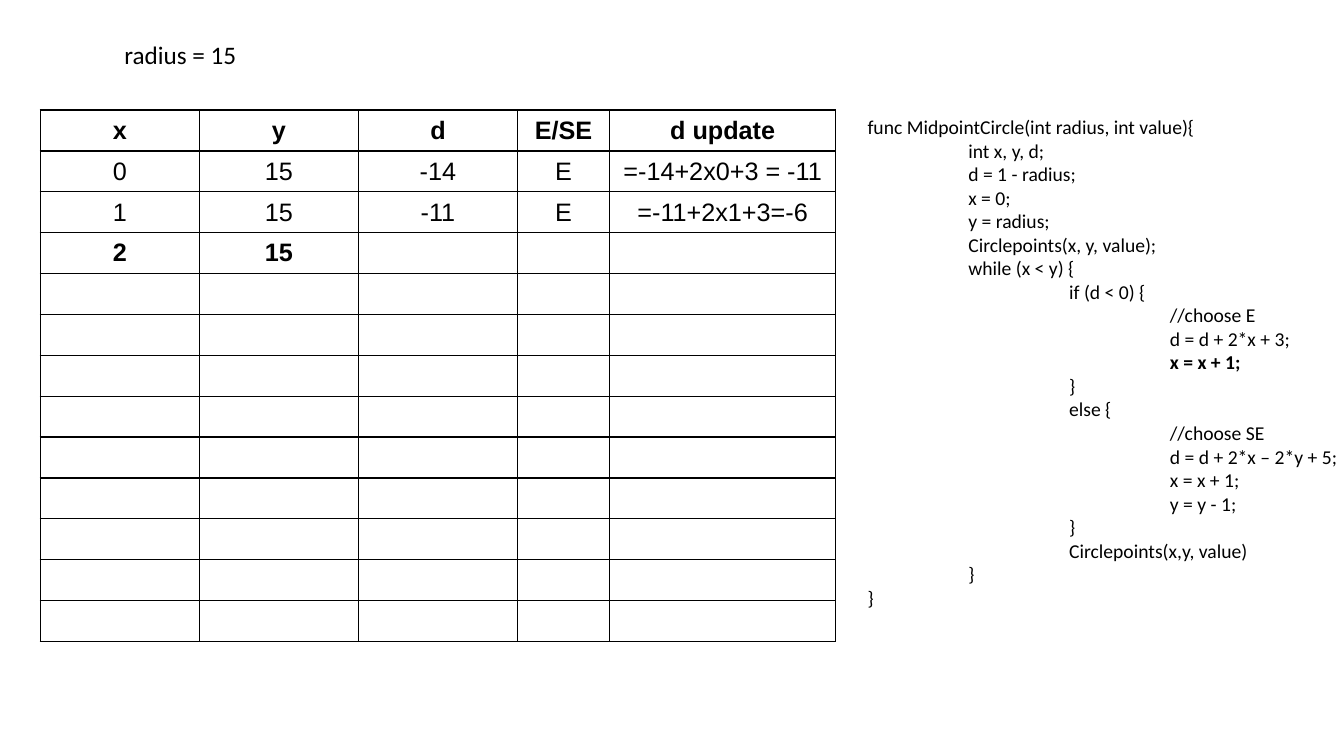
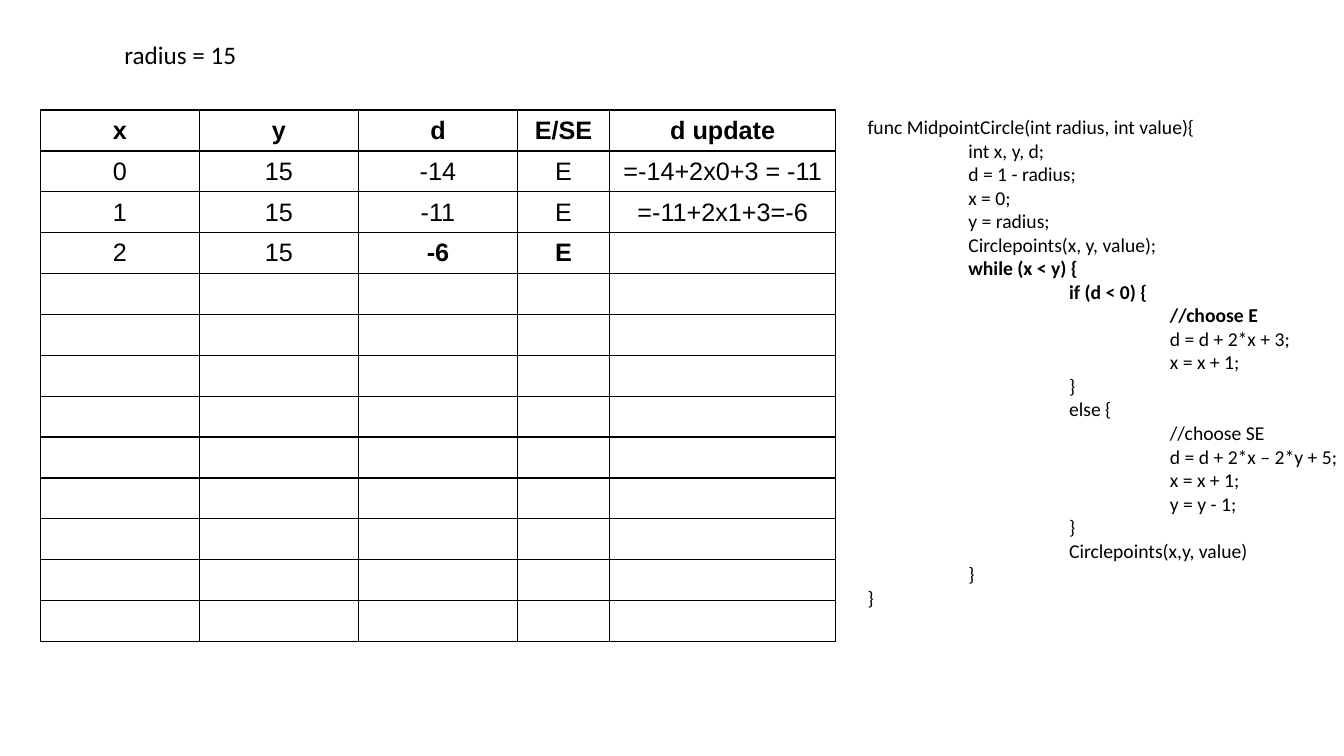
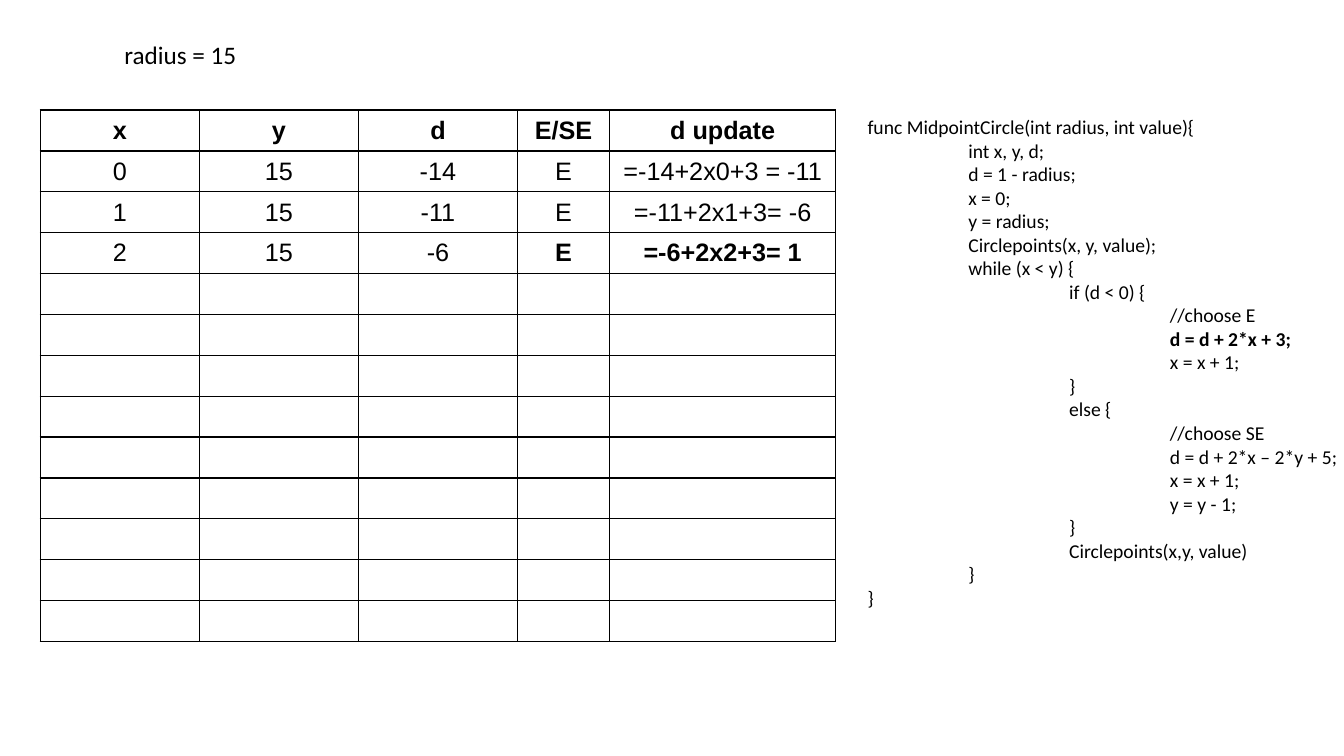
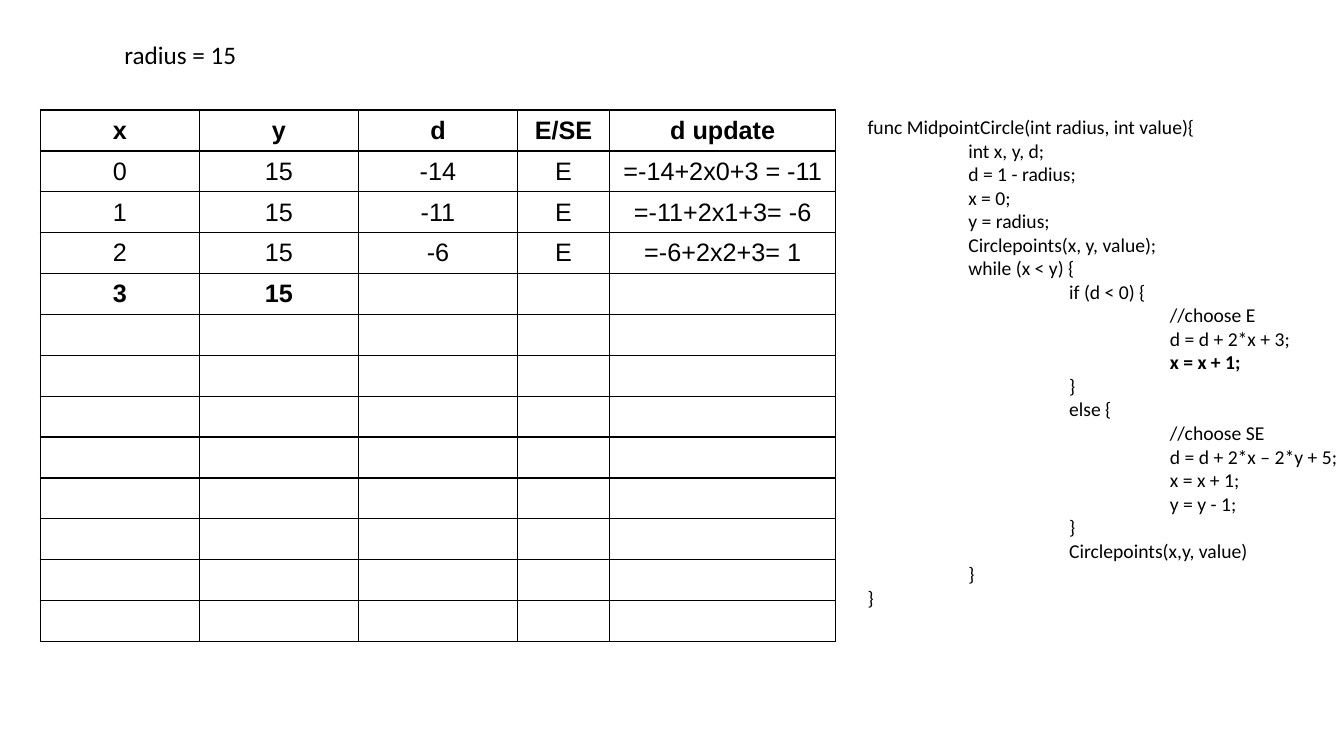
from pptx import Presentation
from pptx.dml.color import RGBColor
from pptx.enum.text import MSO_ANCHOR, MSO_AUTO_SIZE, PP_ALIGN
from pptx.oxml import parse_xml
from pptx.oxml.ns import nsdecls
from pptx.util import Inches, Pt

# Shared style; lengths are cells of a 160 by 90 grid
UNIT = Inches(1) / 12
WIDE, HIGH = 160, 90
INK = "000000"
SANS, GRID = "Calibri", "Arial"
TITLE = (13.6, 4.1, 16, 4.8)
TABLE = (4.8, 13.1, 94.7, 63.3)
CODE = (102.1, 13.1, 61.4, 63.4)
SHARES = (0.2, 0.2, 0.2, 0.116, 0.284)
ROWS = 13
HEAD = ("x", "y", "d", "E/SE", "d update")

# Each code line: indent level and text
LINES = (
    (0, "func MidpointCircle(int radius, int value){"),
    (1, "int x, y, d;"),
    (1, "d = 1 - radius;"),
    (1, "x = 0;"),
    (1, "y = radius;"),
    (1, "Circlepoints(x, y, value);"),
    (1, "while (x < y) {"),
    (2, "if (d < 0) {"),
    (3, "//choose E"),
    (3, "d = d + 2*x + 3;"),
    (3, "x = x + 1;"),
    (2, "}"),
    (2, "else {"),
    (3, "//choose SE"),
    (3, "d = d + 2*x – 2*y + 5;"),
    (3, "x = x + 1;"),
    (3, "y = y - 1;"),
    (2, "}"),
    (2, "Circlepoints(x,y, value)"),
    (1, "}"),
    (0, "}"),
)

FIRST = ("0", "15", "-14", "E", "=-14+2x0+3 = -11")
TIGHT = ("1", "15", "-11", "E", "=-11+2x1+3=-6")
LOOSE = ("1", "15", "-11", "E", "=-11+2x1+3= -6")
THIRD = ("2", "15", "-6", "E", "=-6+2x2+3= 1")

# Each step: filled rows, bold columns of the last row, bold code lines
STEPS = (
    ((FIRST, TIGHT, THIRD[:2]), (0, 1), (10,)),
    ((FIRST, TIGHT, THIRD[:4]), (2, 3), (6, 7, 8)),
    ((FIRST, LOOSE, THIRD), (3, 4), (9,)),
    ((FIRST, LOOSE, THIRD, ("3", "15")), (0, 1), (10,)),
)


def size(cells):
    return round(cells * UNIT)


def color(code):
    return RGBColor.from_string(code)


def write(para, text, points, face, bold=False):
    run = para.add_run()
    run.text = text
    font = run.font
    font.size, font.name, font.bold = Pt(points), face, bold
    font.color.rgb = color(INK)


def title(slide, box, text):
    shape = slide.shapes.title
    shape.left, shape.top, shape.width, shape.height = map(size, box)
    frame = shape.text_frame
    frame.auto_size = MSO_AUTO_SIZE.NONE
    frame.word_wrap = False
    frame.vertical_anchor = MSO_ANCHOR.TOP
    para = frame.paragraphs[0]
    para.alignment = PP_ALIGN.LEFT
    write(para, text, 18, SANS)


def border(cell):
    props = cell._tc.get_or_add_tcPr()
    for side in "LRTB":
        props.append(parse_xml(
            f'<a:ln{side} {nsdecls("a")} w="12700"><a:solidFill>'
            f'<a:srgbClr val="{INK}"/></a:solidFill></a:ln{side}>'))
    cell.fill.background()


def trace(slide, box, rows, marks):
    table = slide.shapes.add_table(ROWS, len(HEAD), *map(size, box)).table
    for col, share in zip(table.columns, SHARES):
        col.width = size(box[2] * share)
    for row in table.rows:
        row.height = size(box[3] / ROWS)
    for cell in table.iter_cells():
        border(cell)
        cell.vertical_anchor = MSO_ANCHOR.MIDDLE

    # Header and filled rows, with the newest values in bold
    for r, texts in enumerate((HEAD, *rows)):
        for c, text in enumerate(texts):
            para = table.cell(r, c).text_frame.paragraphs[0]
            para.alignment = PP_ALIGN.CENTER
            bold = r == 0 or (r == len(rows) and c in marks)
            write(para, text, 18, GRID, bold)


def code(slide, box, marks):
    frame = slide.shapes.add_textbox(*map(size, box)).text_frame
    frame.word_wrap = True
    for i, (level, text) in enumerate(LINES):
        para = frame.add_paragraph() if i else frame.paragraphs[0]
        para._p.get_or_add_pPr().set("marL", str(Inches(level)))
        write(para, text, 14, SANS, i in marks)


def main():
    deck = Presentation()
    deck.slide_width, deck.slide_height = size(WIDE), size(HIGH)
    for rows, cells, lines in STEPS:
        slide = deck.slides.add_slide(deck.slide_layouts[5])
        title(slide, TITLE, "radius = 15")
        trace(slide, TABLE, rows, cells)
        code(slide, CODE, lines)
    deck.save("out.pptx")


if __name__ == "__main__":
    main()
